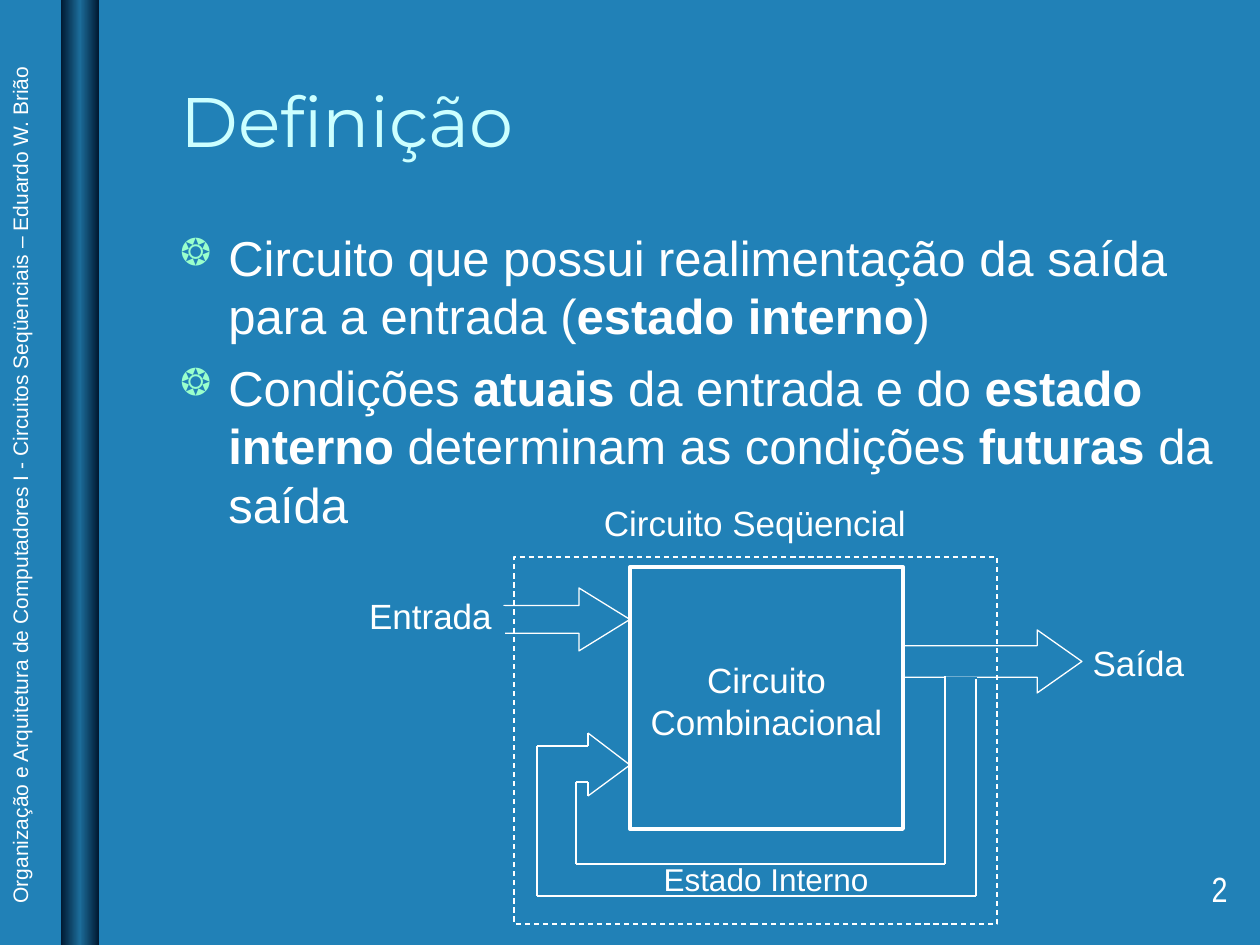
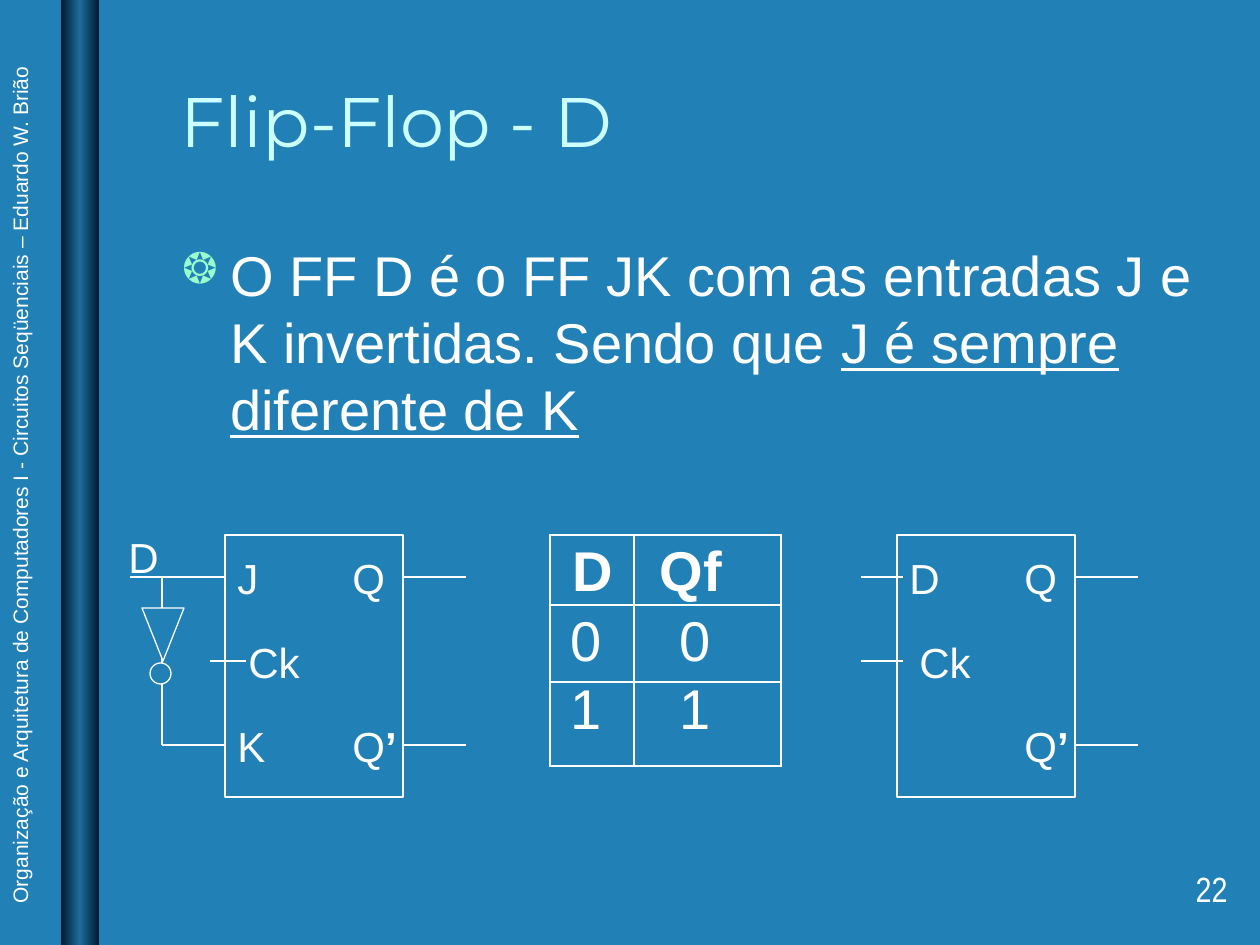
import copy
import itertools
from dataclasses import dataclass

import pptx
import pptx.dml.color
import pptx.enum.dml
import pptx.enum.shapes
import pptx.enum.text
import pptx.oxml
import pptx.oxml.ns
import pptx.util
from lxml import etree

SHAPE = pptx.enum.shapes.MSO_SHAPE
ALIGN = pptx.enum.text.PP_ALIGN
ANCHOR = pptx.enum.text.MSO_ANCHOR
qn = pptx.oxml.ns.qn


@dataclass(frozen=True)
class Theme:
    background: str = "2181B7"
    band_edge: str = "001932"
    band_center: str = "1C6D9A"
    title: str = "CCFFFF"
    bullet: str = "99FFCC"
    ink: str = "FFFFFF"
    body_font: str = "Arial"
    title_font: str = "Montserrat"
    number_font: str = "Arial Narrow"
    title_size: int = 40
    footer_size: int = 12
    number_size: int = 20
    definition_size: int = 28
    flip_flop_size: int = 32
    block_size: int = 20
    state_size: int = 18
    pin_size: int = 24
    table_size: int = 32
    thin: float = 0.75
    medium: float = 1.5
    thick: float = 2.25


THEME = Theme()
COURSE = ("Organização e Arquitetura de Computadores I - "
          "Circuitos Seqüenciais – Eduardo W. Brião")


def px(length):
    return pptx.util.Emu(round(length * 914400 / 126))


def rgb(color):
    return pptx.dml.color.RGBColor.from_string(color)


# ---- Text ----
def add_bullet(paragraph):
    props = paragraph._p.get_or_add_pPr()
    props.set("marL", str(px(48)))
    props.set("indent", str(-px(48)))
    color = etree.SubElement(props, qn("a:buClr"))
    etree.SubElement(color, qn("a:srgbClr"), val=THEME.bullet)
    etree.SubElement(props, qn("a:buSzPct"), val="75000")
    etree.SubElement(props, qn("a:buChar"), char="❂")


def fill_text(frame, paragraphs, size, font=THEME.body_font, color=THEME.ink,
              align=ALIGN.LEFT, bullets=False, space_before=0,
              line_spacing=None):
    """A paragraph is a list of runs: plain strings or (string, "b" or "u")."""
    for index, runs in enumerate(paragraphs):
        paragraph = frame.add_paragraph() if index else frame.paragraphs[0]
        if bullets:
            add_bullet(paragraph)
        paragraph.alignment = align
        if index and space_before:
            paragraph.space_before = pptx.util.Pt(space_before)
        if line_spacing:
            paragraph.line_spacing = line_spacing
        for item in runs:
            words, mark = (item, "") if isinstance(item, str) else item
            run = paragraph.add_run()
            run.text = words
            run.font.size = pptx.util.Pt(size)
            run.font.name = font
            run.font.color.rgb = rgb(color)
            run.font.bold = mark == "b"
            run.font.underline = mark == "u"


def add_text(slide, box, paragraphs, size, wrap=True, anchor=ANCHOR.TOP,
             rotation=0, **text_format):
    holder = slide.shapes.add_textbox(*map(px, box))
    holder.rotation = rotation
    frame = holder.text_frame
    frame.word_wrap = wrap
    frame.vertical_anchor = anchor
    fill_text(frame, paragraphs, size, **text_format)


# ---- Outlines and lines ----
def add_outline(slide, kind, box, width=THEME.thin, fill=None, dashed=False,
                adjustments=()):
    outline = slide.shapes.add_shape(kind, *map(px, box))
    outline.shadow.inherit = False
    if fill:
        outline.fill.solid()
        outline.fill.fore_color.rgb = rgb(fill)
    else:
        outline.fill.background()
    outline.line.color.rgb = rgb(THEME.ink)
    outline.line.width = pptx.util.Pt(width)
    if dashed:
        outline.line.dash_style = pptx.enum.dml.MSO_LINE.DASH
    for index, value in enumerate(adjustments):
        outline.adjustments[index] = value
    return outline


def add_wire(slide, x, y, points, color=THEME.ink):
    """Join the points, given relative to (x, y), with straight lines."""
    for (x1, y1), (x2, y2) in itertools.pairwise(points):
        wire = slide.shapes.add_connector(
            pptx.enum.shapes.MSO_CONNECTOR.STRAIGHT,
            px(x + x1), px(y + y1), px(x + x2), px(y + y2))
        wire.line.color.rgb = rgb(color)
        wire.line.width = pptx.util.Pt(THEME.thin)
        etree.SubElement(wire.element.spPr, qn("a:effectLst"))


# ---- Parts every slide shares ----
def add_band(slide, box):
    band = slide.shapes.add_shape(SHAPE.RECTANGLE, *map(px, box))
    band.shadow.inherit = False
    band.line.fill.background()
    band.fill.gradient()
    band.fill.gradient_angle = 0
    stop_list = band.element.spPr.find(".//" + qn("a:gsLst"))
    stop_list.insert(1, copy.deepcopy(stop_list[0]))
    colors = (THEME.band_edge, THEME.band_center, THEME.band_edge)
    for stop, color, position in zip(band.fill.gradient_stops, colors,
                                     (0, 0.5, 1)):
        stop.color.rgb = rgb(color)
        stop.position = position


def add_course_slide(deck, title, number):
    slide = deck.slides.add_slide(deck.slide_layouts[6])
    slide.background.fill.solid()
    slide.background.fill.fore_color.rgb = rgb(THEME.background)
    add_band(slide, (61, 0, 38, 945))
    add_text(slide, (-412, 465, 864, 38), [[COURSE]], THEME.footer_size,
             wrap=False, rotation=270)
    add_text(slide, (168, 10, 1071, 158), [[title]], THEME.title_size,
             font=THEME.title_font, color=THEME.title, anchor=ANCHOR.BOTTOM)
    add_text(slide, (978, 861, 262, 63), [[str(number)]], THEME.number_size,
             font=THEME.number_font, align=ALIGN.RIGHT)
    return slide


# ---- Sequential circuit diagram ----
def add_sequential_circuit(slide, x, y):
    add_outline(slide, SHAPE.RECTANGLE, (x, y, 483, 367), dashed=True)
    add_outline(slide, SHAPE.RECTANGLE, (x + 116, y + 10, 273, 262),
                THEME.thick)
    # Output and input arrows
    add_outline(slide, SHAPE.RIGHT_ARROW, (x + 389, y + 73, 179, 63),
                adjustments=(0.5, 0.71))
    add_outline(slide, SHAPE.RIGHT_ARROW, (x - 10, y + 31, 126, 63),
                adjustments=(0.44, 0.81))
    # Feedback path from the output back to the input
    add_wire(slide, x, y, [
        (462, 122), (462, 339), (23, 339), (23, 189), (74, 189), (74, 176),
        (116, 208), (74, 239), (74, 225), (62, 225), (62, 307), (431, 307),
        (431, 119)])
    # Openings in the arrow outlines
    add_wire(slide, x, y, [(432, 121), (463, 121)], THEME.background)
    add_wire(slide, x, y, [(-10, 49), (-10, 81)], THEME.background)
    # Labels, in boxes with room to spare around the centred words
    labels = [
        ((70, -62, 342, 55), ["Circuito Seqüencial"], THEME.block_size),
        ((117, 95, 271, 97), ["Circuito", "Combinacional"], THEME.block_size),
        ((-173, 31, 179, 55), ["Entrada"], THEME.block_size),
        ((554, 78, 141, 55), ["Saída"], THEME.block_size),
        ((127, 297, 250, 50), ["Estado Interno"], THEME.state_size)]
    for (left, top, width, height), lines, size in labels:
        add_text(slide, (x + left, y + top, width, height),
                 [[line] for line in lines], size, wrap=False,
                 align=ALIGN.CENTER)


# ---- Flip-flop symbols ----
def add_pin_label(slide, x, y, runs):
    add_text(slide, (x, y, 90, 63), [runs], THEME.pin_size)


def add_flip_flop(slide, x, y, inputs):
    """Pins are (runs, label x, row); rows are 84 px apart."""
    add_outline(slide, SHAPE.RECTANGLE, (x, y, 178, 262))
    outputs = [(["Q"], 115, 0), (["Q", ("’", "b")], 115, 2)]
    for _, _, row in outputs:
        level = 42 + 84 * row
        add_wire(slide, x, y, [(178, level), (241, level)])
    for runs, left, row in outputs + inputs:
        add_pin_label(slide, x + left, y + 11 + 84 * row, runs)


def add_jk_with_inverter(slide, x, y):
    add_flip_flop(slide, x, y, [(["J"], 0, 0), (["Ck"], 11, 1), (["K"], 0, 2)])
    add_wire(slide, x, y, [(0, 42), (-95, 42)])
    add_wire(slide, x, y, [(-15, 126), (21, 126)])
    add_wire(slide, x, y, [(-63, 42), (-63, 210), (0, 210)])
    add_pin_label(slide, x - 109, y - 10, ["D"])
    # Inverter
    triangle = add_outline(slide, SHAPE.ISOSCELES_TRIANGLE,
                           (x - 83, y + 73, 42, 53), fill=THEME.background)
    triangle.rotation = 180
    add_outline(slide, SHAPE.OVAL, (x - 75, y + 128, 21, 21),
                fill=THEME.background)


def add_d_flip_flop(slide, x, y):
    add_flip_flop(slide, x, y, [(["D"], 0, 0), (["Ck"], 10, 1)])
    for level in (42, 126):
        add_wire(slide, x, y, [(-36, level), (6, level)])


# ---- Truth table ----
def set_borders(cell, widths):
    props = cell._tc.get_or_add_tcPr()
    for index, (side, width) in enumerate(zip("LRTB", widths)):
        border = etree.Element(qn("a:ln" + side),
                               w=str(pptx.util.Pt(width)))
        fill = etree.SubElement(border, qn("a:solidFill"))
        etree.SubElement(fill, qn("a:srgbClr"), val=THEME.ink)
        props.insert(index, border)


def add_truth_table(slide, x, y):
    rows = [("D", "Qf"), ("0", "0"), ("1", "1")]
    columns, heights = (84, 147), (70, 77, 84)
    top_margins = (16, 16, 7)
    table = slide.shapes.add_table(len(rows), len(columns), px(x), px(y),
                                   px(sum(columns)), px(sum(heights))).table
    table.first_row = table.horz_banding = False
    for column, width in zip(table.columns, columns):
        column.width = px(width)
    for r, values in enumerate(rows):
        table.rows[r].height = px(heights[r])
        header = r == 0
        for c, value in enumerate(values):
            cell = table.cell(r, c)
            cell.fill.background()
            cell.margin_left = px(((23, 26) if header else (21, 46))[c])
            cell.margin_top = px(top_margins[r])
            cell.margin_right = cell.margin_bottom = 0
            fill_text(cell.text_frame, [[(value, "b" if header else "")]],
                      THEME.table_size, line_spacing=0.8)
            inner = THEME.medium if header else THEME.thin
            set_borders(cell, (
                inner if c else THEME.medium,
                THEME.medium if c else inner,
                THEME.medium if r < 2 else THEME.thin,
                THEME.thin if r == 1 else THEME.medium))


# ---- Slides ----
def build_definition(deck):
    slide = add_course_slide(deck, "Definição", 2)
    add_text(slide, (168, 221, 1071, 640), [
        ["Circuito que possui realimentação da saída para a entrada (",
         ("estado interno", "b"), ")"],
        ["Condições ", ("atuais", "b"), " da entrada e do ",
         ("estado interno", "b"), " determinam as condições ",
         ("futuras", "b"), " da saída"],
    ], THEME.definition_size, bullets=True, space_before=7)
    add_sequential_circuit(slide, 514, 557)


def build_flip_flop_d(deck):
    slide = add_course_slide(deck, "Flip-Flop - D", 22)
    add_text(slide, (170, 234, 1081, 240), [
        ["O FF D é o FF JK com as entradas J e K invertidas. Sendo que ",
         ("J é sempre diferente de K", "u")],
    ], THEME.flip_flop_size, bullets=True)
    add_truth_table(slide, 550, 535)
    add_jk_with_inverter(slide, 225, 535)
    add_d_flip_flop(slide, 897, 535)


def main():
    deck = pptx.Presentation()
    deck.slide_width, deck.slide_height = px(1260), px(945)
    build_definition(deck)
    build_flip_flop_d(deck)
    deck.save("out.pptx")


if __name__ == "__main__":
    main()
